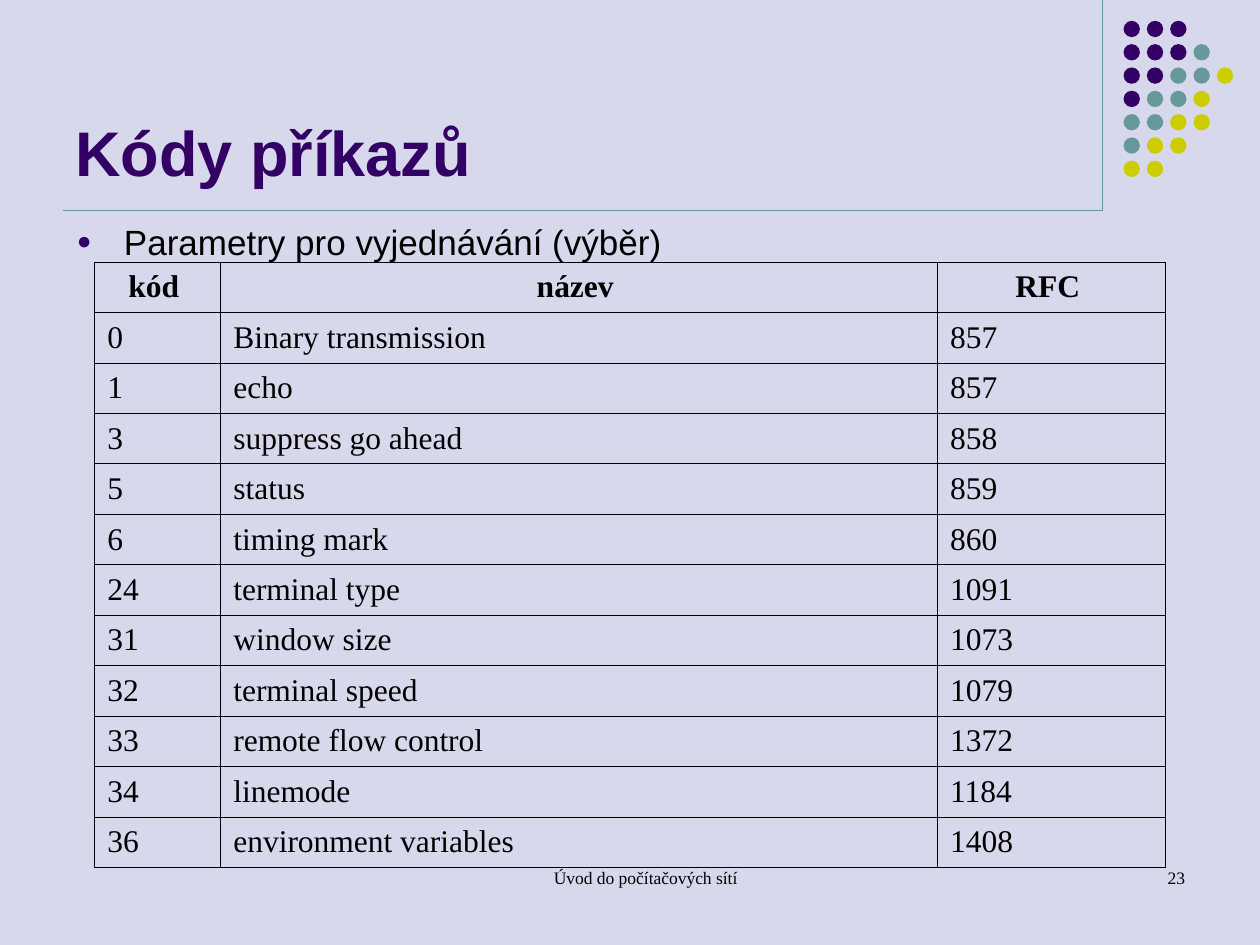
from typing import NamedTuple

from lxml.etree import SubElement
from pptx import Presentation
from pptx.dml.color import RGBColor
from pptx.enum.shapes import MSO_CONNECTOR as Connector, MSO_SHAPE as Shape
from pptx.enum.text import MSO_ANCHOR as Anchor, PP_ALIGN as Align
from pptx.oxml import parse_xml
from pptx.oxml.ns import nsdecls, qn
from pptx.util import Cm, Pt

PURPLE, TEAL, YELLOW = "330066", "669999", "CCCC00"
BLACK, LAVENDER = "000000", "D8D8EC"
SANS, SERIF = "Arial", "Times New Roman"

DOT_COLOURS = {"P": PURPLE, "T": TEAL, "Y": YELLOW}
DOT_ROWS = ["PPP", "PPPT", "PPTTY", "PTTY", "TTYY", "TYY", "YY"]
DOT_LEFT, DOT_TOP, DOT_STEP, DOT_SIZE = 22.65, 0.42, 0.47, 0.33

COLUMN_WIDTHS = [2.54, 14.45, 4.6]
TABLE_HEIGHT = 12.17


class Rule(NamedTuple):
    x1: float
    y1: float
    x2: float
    y2: float


class Label(NamedTuple):
    text: str
    left: float
    top: float
    width: float
    height: float
    size: float
    font: str = SERIF
    colour: str = BLACK
    bold: bool = False
    align: Align = Align.LEFT
    anchor: Anchor = Anchor.TOP
    margin: float = 0
    hanging: float = 0
    before: float = 0
    bullet: str = ""


class Option(NamedTuple):
    code: str
    name: str
    rfc: str


RULES = [Rule(22.23, 0, 22.23, 4.24), Rule(1.27, 4.24, 22.23, 4.24)]

LABELS = [
    Label("Kódy příkazů", 1.27, 0.33, 20.96, 3.61, 36, SANS, PURPLE, True,
          anchor=Anchor.BOTTOM),
    Label("Parametry pro vyjednávání (výběr)", 1.3, 4.32, 23.06, 1.27, 20, SANS,
          margin=0.95, hanging=0.95, before=5, bullet="●"),
    Label("Úvod do počítačových sítí", 8.69, 17.35, 8.05, 1.27, 10,
          align=Align.CENTER, margin=0.6),
    Label("23", 18.21, 17.35, 5.93, 1.27, 10, align=Align.RIGHT, margin=0.6),
]

OPTIONS = [
    Option("kód ", "název ", "RFC "),
    Option("0", "Binary transmission", "857"),
    Option("1", "echo", "857"),
    Option("3", "suppress go ahead", "858"),
    Option("5", "status", "859"),
    Option("6", "timing mark", "860"),
    Option("24", "terminal type", "1091"),
    Option("31", "window size", "1073"),
    Option("32", "terminal speed", "1079"),
    Option("33", "remote flow control", "1372"),
    Option("34", "linemode", "1184"),
    Option("36", "environment variables", "1408"),
]


def rgb(colour: str) -> RGBColor:
    return RGBColor.from_string(colour)


def set_font(para, name: str, size: float, colour: str, bold: bool) -> None:
    para.font.name = name
    para.font.size = Pt(size)
    para.font.bold = bold
    para.font.color.rgb = rgb(colour)


def add_bullet(para, symbol: str, colour: str, percent: int) -> None:
    properties = para._p.get_or_add_pPr()
    bullet = [
        f'<a:buClr {nsdecls("a")}><a:srgbClr val="{colour}"/></a:buClr>',
        f'<a:buSzPct {nsdecls("a")} val="{percent * 1000}"/>',
        f'<a:buFont {nsdecls("a")} typeface="{SANS}"/>',
        f'<a:buChar {nsdecls("a")} char="{symbol}"/>',
    ]
    first = len(properties.findall(qn("a:spcBef")))
    for offset, xml in enumerate(bullet):
        properties.insert(first + offset, parse_xml(xml))


def draw_rule(page, rule: Rule) -> None:
    line = page.shapes.add_connector(Connector.STRAIGHT, *map(Cm, rule))
    line.line.color.rgb = rgb(TEAL)
    line.line.width = Pt(0.75)
    SubElement(line._element.spPr, qn("a:effectLst"))


def draw_dot(page, row: int, column: int, colour: str) -> None:
    dot = page.shapes.add_shape(
        Shape.OVAL, Cm(DOT_LEFT + column * DOT_STEP), Cm(DOT_TOP + row * DOT_STEP),
        Cm(DOT_SIZE), Cm(DOT_SIZE))
    dot.shadow.inherit = False
    dot.fill.solid()
    dot.fill.fore_color.rgb = rgb(colour)
    dot.line.fill.background()


def draw_label(page, label: Label) -> None:
    box = page.shapes.add_textbox(
        Cm(label.left), Cm(label.top), Cm(label.width), Cm(label.height))
    frame = box.text_frame
    frame.word_wrap = True
    frame.vertical_anchor = label.anchor
    para = frame.paragraphs[0]
    para.text = label.text
    para.alignment = label.align
    para.space_before = Pt(label.before)
    set_font(para, label.font, label.size, label.colour, label.bold)
    properties = para._p.get_or_add_pPr()
    properties.set("marL", str(Cm(label.margin)))
    properties.set("indent", str(-Cm(label.hanging)))
    if label.bullet:
        add_bullet(para, label.bullet, PURPLE, 70)


def add_borders(cell, colour: str, width: float) -> None:
    properties = cell._tc.get_or_add_tcPr()
    for position, side in enumerate(("lnL", "lnR", "lnT", "lnB")):
        properties.insert(position, parse_xml(
            f'<a:{side} {nsdecls("a")} w="{Pt(width)}"><a:solidFill>'
            f'<a:srgbClr val="{colour}"/></a:solidFill></a:{side}>'))


def draw_table(page, options: list[Option]) -> None:
    table = page.shapes.add_table(
        len(options), len(COLUMN_WIDTHS), Cm(1.91), Cm(5.28),
        Cm(sum(COLUMN_WIDTHS)), Cm(TABLE_HEIGHT)).table
    table.horz_banding = False
    for column, width in zip(table.columns, COLUMN_WIDTHS):
        column.width = Cm(width)
    for index, (row, option) in enumerate(zip(table.rows, options)):
        header = index == 0
        for cell, text in zip(row.cells, option):
            cell.text = text
            cell.vertical_anchor = Anchor.MIDDLE
            cell.fill.background()
            add_borders(cell, BLACK, 0.34)
            para = cell.text_frame.paragraphs[0]
            para.alignment = Align.CENTER if header else Align.LEFT
            set_font(para, SERIF, 18, BLACK, header)


def main() -> None:
    deck = Presentation()
    deck.slide_width, deck.slide_height = Cm(25.4), Cm(19.05)
    page = deck.slides.add_slide(deck.slide_layouts[6])
    page.background.fill.solid()
    page.background.fill.fore_color.rgb = rgb(LAVENDER)
    for rule in RULES:
        draw_rule(page, rule)
    for row, codes in enumerate(DOT_ROWS):
        for column, code in enumerate(codes):
            draw_dot(page, row, column, DOT_COLOURS[code])
    title, topic, *footers = LABELS
    draw_label(page, title)
    draw_label(page, topic)
    draw_table(page, OPTIONS)
    for footer in footers:
        draw_label(page, footer)
    deck.save("out.pptx")


if __name__ == "__main__":
    main()
